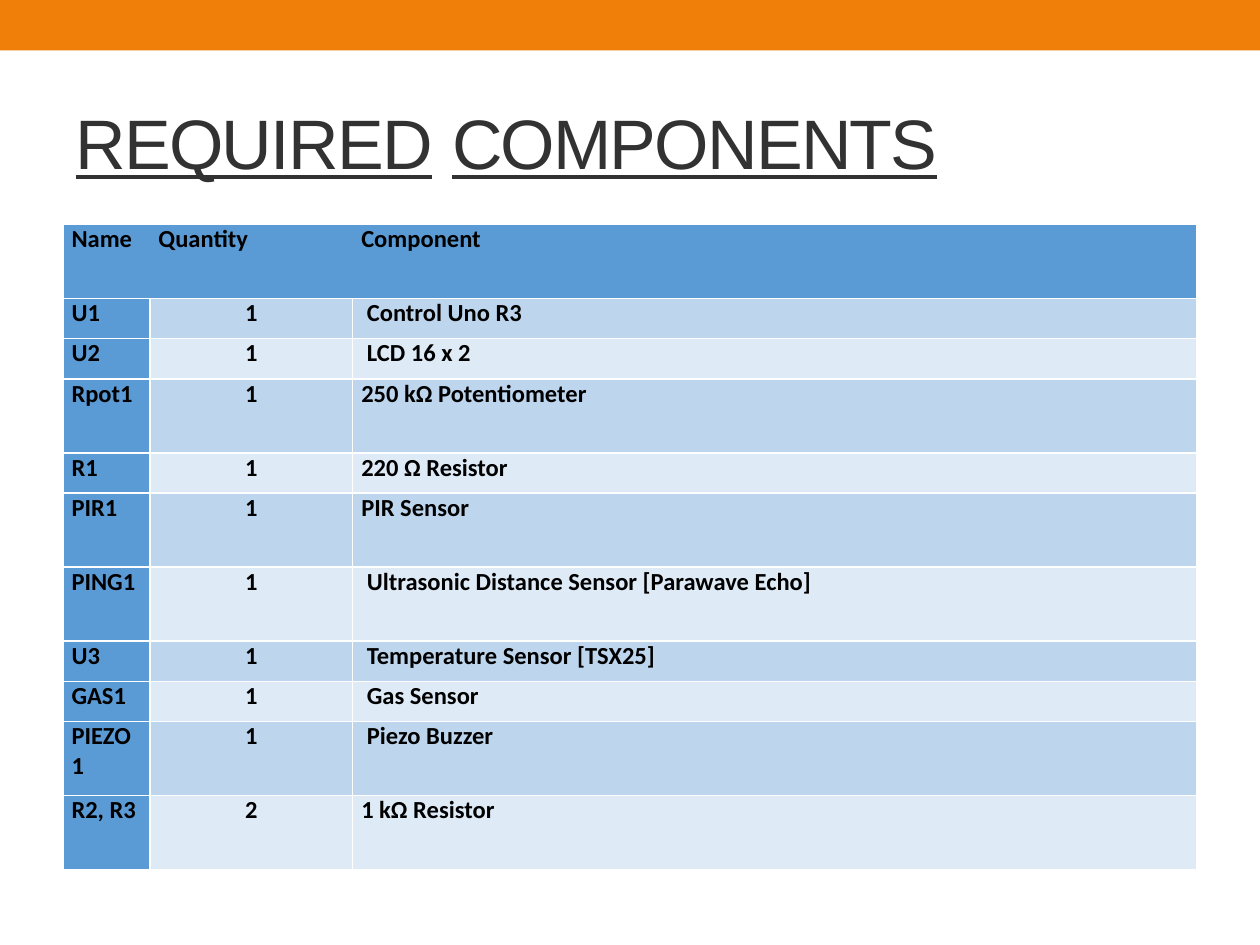
from typing import NamedTuple

import pptx
import pptx.dml.color
import pptx.enum.shapes
import pptx.enum.text
import pptx.oxml
import pptx.oxml.ns
import pptx.util

Pt = pptx.util.Pt
ALIGN = pptx.enum.text.PP_ALIGN

COLORS = {
    "band": "F07F09",
    "title": "323232",
    "text": "000000",
    "border": "FFFFFF",
    "accent": "5B9BD5",
    "odd": "BDD6EE",
    "even": "DEEAF6",
}
SHORT_ROW, TALL_ROW = 23, 42.3
COLUMN_WIDTHS = (49.7, 115.9, 482.4)


class Component(NamedTuple):
    name: str
    quantity: str
    description: str
    height: float = SHORT_ROW


HEADER = Component("Name", "Quantity", "Component", TALL_ROW)
COMPONENTS = [
    Component("U1", "1", " Control Uno R3"),
    Component("U2", "1", " LCD 16 x 2 "),
    Component("Rpot1", "1", "250 k\u2126 Potentiometer", TALL_ROW),
    Component("R1", "1", "220 \u2126 Resistor"),
    Component("PIR1", "1", "PIR Sensor", TALL_ROW),
    Component("PING1", "1", " Ultrasonic Distance Sensor [Parawave Echo]", TALL_ROW),
    Component("U3", "1", " Temperature Sensor [TSX25]"),
    Component("GAS1", "1", " Gas Sensor"),
    Component("PIEZO1", "1", " Piezo Buzzer", TALL_ROW),
    Component("R2, R3", "2", "1 k\u2126 Resistor", TALL_ROW),
]


def rgb(name: str) -> pptx.dml.color.RGBColor:
    return pptx.dml.color.RGBColor.from_string(COLORS[name])


def add_run(paragraph, text: str, font_name: str, size: float, color: str):
    run = paragraph.add_run()
    run.text = text
    run.font.name = font_name
    run.font.size = Pt(size)
    run.font.color.rgb = rgb(color)
    return run


def set_borders(cell, visible_sides: str) -> None:
    properties = cell._tc.get_or_add_tcPr()
    for index, side in enumerate("LRTB"):
        if side in visible_sides:
            fill = f'<a:solidFill><a:srgbClr val="{COLORS["border"]}"/></a:solidFill>'
        else:
            fill = "<a:noFill/>"
        line = pptx.oxml.parse_xml(
            f'<a:ln{side} {pptx.oxml.ns.nsdecls("a")} w="{Pt(1)}">{fill}</a:ln{side}>'
        )
        properties.insert(index, line)


def fill_cell(cell, text: str, fill: str, alignment, borders: str) -> None:
    cell.fill.solid()
    cell.fill.fore_color.rgb = rgb(fill)
    cell.margin_left = cell.margin_right = Pt(4.9)
    cell.margin_top = cell.margin_bottom = Pt(0)
    paragraph = cell.text_frame.paragraphs[0]
    paragraph.alignment = alignment
    add_run(paragraph, text, "Calibri", 14, "text").font.bold = True
    set_borders(cell, borders)


def add_band(slide) -> None:
    band = slide.shapes.add_shape(
        pptx.enum.shapes.MSO_SHAPE.RECTANGLE, Pt(0), Pt(0), Pt(720), Pt(28.8)
    )
    band.shadow.inherit = False
    band.fill.solid()
    band.fill.fore_color.rgb = rgb("band")
    band.line.fill.background()


def add_title(slide) -> None:
    title = slide.shapes.title
    title.left, title.top, title.width, title.height = Pt(36), Pt(41.8), Pt(648), Pt(77.8)
    frame = title.text_frame
    frame.word_wrap = True
    frame.auto_size = pptx.enum.text.MSO_AUTO_SIZE.NONE
    frame.vertical_anchor = pptx.enum.text.MSO_ANCHOR.MIDDLE
    paragraph = frame.paragraphs[0]
    paragraph.alignment = ALIGN.LEFT
    for text in ("REQUIRED", " ", "COMPONENTS"):
        run = add_run(paragraph, text, "Arial", 40, "title")
        run.font.underline = text != " "
        run.font._element.set("spc", "-100")


def add_component_table(slide) -> None:
    rows = [HEADER, *COMPONENTS]
    table = slide.shapes.add_table(
        len(rows), len(COLUMN_WIDTHS), Pt(36), Pt(128.2),
        Pt(sum(COLUMN_WIDTHS)), Pt(sum(row.height for row in rows)),
    ).table
    for column, width in zip(table.columns, COLUMN_WIDTHS):
        column.width = Pt(width)
    header_borders = ("LTB", "TB", "RTB")
    for row_index, row in enumerate(rows):
        table.rows[row_index].height = Pt(row.height)
        is_header = row_index == 0
        stripe = "odd" if row_index % 2 else "even"
        for column_index, text in enumerate(row[:3]):
            fill_cell(
                table.cell(row_index, column_index),
                text,
                "accent" if is_header or column_index == 0 else stripe,
                ALIGN.CENTER if column_index == 1 and not is_header else ALIGN.LEFT,
                header_borders[column_index] if is_header else "LRTB",
            )


presentation = pptx.Presentation()
presentation.slide_width, presentation.slide_height = Pt(720), Pt(540)
slide = presentation.slides.add_slide(presentation.slide_layouts[5])
add_band(slide)
add_title(slide)
add_component_table(slide)
presentation.save("out.pptx")
